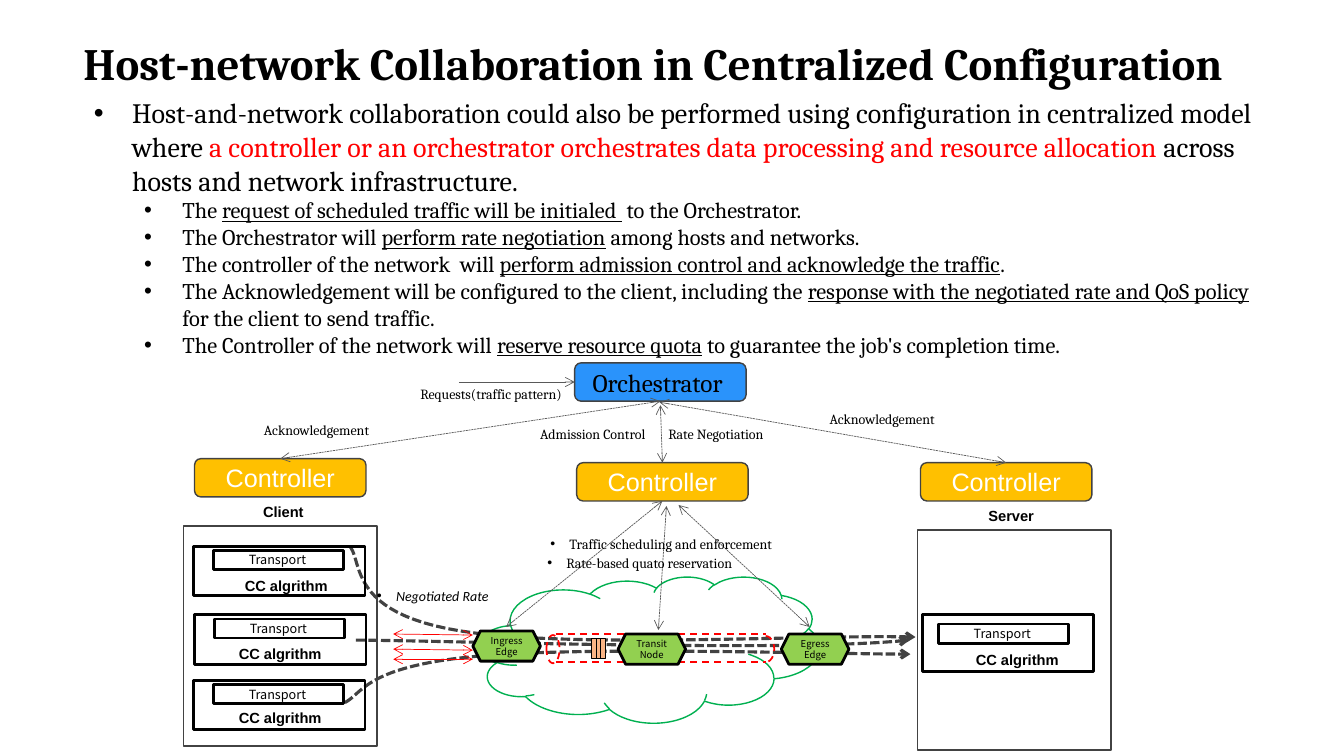
from lxml.etree import SubElement
from pptx import Presentation
from pptx.dml.color import RGBColor
from pptx.enum.dml import MSO_LINE_DASH_STYLE as Dash
from pptx.enum.shapes import MSO_CONNECTOR, MSO_SHAPE as Shape
from pptx.enum.text import MSO_ANCHOR as Anchor, MSO_AUTO_SIZE as AutoSize, PP_ALIGN as Align
from pptx.oxml.ns import qn
from pptx.util import Inches, Pt

# ---- Content: text parts are (text, mark), mark is "", "red" or "underline"
TITLE = " Host-network Collaboration in Centralized Configuration "
BODY = [
    (0, [("Host-and-network collaboration could also be performed using configuration "
          "in centralized model where ", ""),
         ("a controller or an orchestrator orchestrates data processing and resource allocation ", "red"),
         ("across hosts and network infrastructure.", "")]),
    (1, [("The ", ""), ("request of scheduled traffic will be initialed ", "underline"),
         (" to the Orchestrator.", "")]),
    (1, [("The Orchestrator will ", ""), ("perform rate negotiation", "underline"),
         (" among hosts and networks.", "")]),
    (1, [("The controller of the network  will ", ""),
         ("perform admission control and acknowledge the traffic", "underline"), (".", "")]),
    (1, [("The Acknowledgement will be configured to the client, including the ", ""),
         ("response with the negotiated rate and QoS policy ", "underline"),
         ("for the client to send traffic.", "")]),
    (1, [("The Controller of the network will ", ""), ("reserve resource quota", "underline"),
         (" to guarantee the job's completion time.", "")]),
]
# left, top, height, transport offset, label offset
HOSTS = [
    (1.92, 5.42, 0.49, (0.2, 0.04), (0.41, 0.25)),
    (1.93, 6.1, 0.49, (0.2, 0.04), (0.34, 0.25)),
    (1.92, 6.75, 0.49, (0.2, 0.04), (0.35, 0.23)),
    (9.15, 6.1, 0.56, (0.16, 0.09), (0.43, 0.31)),
]
SITES = [("Client", 1.82, 5.22, 1.99), ("Server", 9.1, 5.26, 9.21)]
CONTROLLERS = [(1.93, 4.55), (5.72, 4.59), (9.13, 4.59)]
NODES = [("Ingress\nEdge", 4.69, 6.26), ("Transit Node", 6.13, 6.29), ("Egress\nEdge", 7.75, 6.29)]
NOTES = [
    ("Requests(traffic pattern)", 4.07, 3.78, 1.79),
    ("Acknowledgement", 2.52, 4.13, 2.03),
    ("Rate Negotiation", 6.53, 4.17, 2.03),
    ("Admission Control", 5.26, 4.17, 2.03),
    ("Acknowledgement", 8.13, 4.02, 2.03),
]
BULLET_NOTES = [
    ("Traffic scheduling and enforcement", 5.36, 5.26, 3.67, "note"),
    ("Rate-based quato reservation", 5.33, 5.45, 2.53, "note"),
    ("Negotiated Rate", 3.64, 5.78, 2.53, "rate"),
]
# Traffic flows as chains of Bezier points
FLOWS = [
    [(3.42, 6.97), (3.6, 6.88), (3.62, 6.61), (4.74, 6.51), (5.86, 6.41), (8.2, 6.49), (9.03, 6.49)],
    [(3.47, 5.42), (3.6, 5.58), (3.45, 6.08), (4.57, 6.26), (5.69, 6.44), (8.16, 6.29), (9.08, 6.32)],
    [(3.53, 6.35), (4.63, 6.36), (7.92, 6.47), (9.02, 6.35)],
]
SIGNALS = [
    (6.57, 4.97, 5.02, 6.22), (6.61, 5.02, 6.53, 6.25), (6.73, 5.01, 8.03, 6.22),
    (6.55, 3.98, 2.78, 4.55), (6.54, 3.99, 9.98, 4.59), (6.55, 4.02, 6.57, 4.59),
]
RATES = [(6.29, 6.3), (6.44, 6.45), (6.54, 6.54)]

# ---- Theme: colours, line formats and type
THEME = {
    "color": {"black": "000000", "white": "FFFFFF", "red": "FF0000", "gray": "424242",
              "signal": "595959", "green": "00B050", "node": "92D050", "amber": "FFC000",
              "blue": "2A93FB", "queue": "F9B485"},
    "line": {"box": ("black", 2, None), "frame": ("gray", 1, None), "cloud": ("green", 1, None),
             "flow": ("gray", 2.25, Dash.SQUARE_DOT), "pipe": ("red", 1.25, Dash.DASH),
             "queue": ("black", 0.75, None), "signal": ("signal", 0.5, Dash.SQUARE_DOT),
             "request": ("signal", 0.5, None), "rate": ("red", 0.5, None)},
    "type": {"title": ({"name": "Cambria", "size": Pt(32), "bold": True}, "black"),
             "body0": ({"name": "Cambria", "size": Pt(20)}, "black"),
             "body1": ({"name": "Cambria", "size": Pt(16)}, "black"),
             "note": ({"name": "Cambria", "size": Pt(10)}, "black"),
             "rate": ({"name": "Calibri", "size": Pt(10), "italic": True}, "black"),
             "label": ({"name": "Arial", "size": Pt(10.5), "bold": True}, "black"),
             "transport": ({"name": "Noto Sans CJK SC", "size": Pt(9)}, "black"),
             "node": ({"name": "Noto Sans CJK SC", "size": Pt(6.8)}, "black"),
             "controller": ({"name": "Arial", "size": Pt(18)}, "white"),
             "orchestrator": ({"name": "Cambria", "size": Pt(18)}, "black")},
}


def color(name):
    return RGBColor.from_string(THEME["color"][name])


def add_run(paragraph, text, style, mark=""):
    run = paragraph.add_run()
    run.text = text
    values, ink = THEME["type"][style]
    for name, value in values.items():
        setattr(run.font, name, value)
    run.font.color.rgb = color("red" if mark == "red" else ink)
    if mark == "underline":
        run.font.underline = True


def set_bullet(paragraph, margin, hanging):
    properties = paragraph._p.get_or_add_pPr()
    properties.set("marL", str(Inches(margin)))
    properties.set("indent", str(-Inches(hanging)))
    SubElement(properties, qn("a:buFont")).set("typeface", "Arial")
    SubElement(properties, qn("a:buChar")).set("char", "•")


def write(shape, text, style, align=Align.LEFT, anchor=Anchor.TOP, insets=(0.1, 0.05)):
    frame = shape.text_frame
    side, end = map(Inches, insets)
    values = {"word_wrap": True, "vertical_anchor": anchor, "margin_left": side,
              "margin_right": side, "margin_top": end, "margin_bottom": end}
    for name, value in values.items():
        setattr(frame, name, value)
    for index, line in enumerate(text.split("\n")):
        paragraph = frame.add_paragraph() if index else frame.paragraphs[0]
        paragraph.alignment = align
        add_run(paragraph, line, style)
    return frame


def set_line(shape, style, head=False, tail=False):
    ink, width, dash = THEME["line"][style]
    shape.line.color.rgb = color(ink)
    shape.line.width = Pt(width)
    if dash:
        shape.line.dash_style = dash
    for tag, wanted in (("a:headEnd", head), ("a:tailEnd", tail)):
        if wanted:
            SubElement(shape.line._get_or_add_ln(), qn(tag)).set("type", "arrow")


def add_box(kind, left, top, width, height, line, fill=None):
    shape = slide.shapes.add_shape(kind, *map(Inches, (left, top, width, height)))
    shape.shadow.inherit = False
    if fill:
        shape.fill.solid()
        shape.fill.fore_color.rgb = color(fill)
    else:
        shape.fill.background()
    set_line(shape, line)
    return shape


def add_text(text, left, top, width, style, align=Align.LEFT):
    box = slide.shapes.add_textbox(*map(Inches, (left, top, width, 0.27)))
    return write(box, text, style, align)


def add_link(x1, y1, x2, y2, line, head=False, tail=False):
    link = slide.shapes.add_connector(MSO_CONNECTOR.STRAIGHT, *map(Inches, (x1, y1, x2, y2)))
    set_line(link, line, head, tail)
    SubElement(link._element.spPr, qn("a:effectLst"))


def add_flow(points, steps=24):
    route = []
    for start in range(0, len(points) - 1, 3):
        for step in range(1, steps + 1):
            t = step / steps
            weights = ((1 - t) ** 3, 3 * t * (1 - t) ** 2, 3 * t * t * (1 - t), t ** 3)
            segment = points[start:start + 4]
            route.append(tuple(Inches(sum(w * p[axis] for w, p in zip(weights, segment)))
                               for axis in (0, 1)))
    builder = slide.shapes.build_freeform(*map(Inches, points[0]))
    builder.add_line_segments(route, close=False)
    flow = builder.convert_to_shape()
    flow.shadow.inherit = False
    flow.fill.background()
    set_line(flow, "flow", tail=True)


def place(shape, left, top, width, height):
    for name, value in {"left": left, "top": top, "width": width, "height": height}.items():
        setattr(shape, name, Inches(value))


presentation = Presentation()
presentation.slide_width, presentation.slide_height = Inches(13.33), Inches(7.5)
slide = presentation.slides.add_slide(presentation.slide_layouts[1])

# Title and list
title, body = slide.placeholders
place(title, 0.5, 0.3, 11.96, 0.64)
write(title, TITLE, "title", Align.CENTER).word_wrap = False
title.text_frame.auto_size = AutoSize.NONE
place(body, 0.83, 0.9, 11.93, 2.73)
body.text_frame.auto_size = AutoSize.NONE
for index, (level, parts) in enumerate(BODY):
    paragraph = body.text_frame.add_paragraph() if index else body.text_frame.paragraphs[0]
    paragraph.level = level
    paragraph.space_before = Pt(0)
    set_bullet(paragraph, 0.38 + 0.5 * level, 0.38)
    for text, mark in parts:
        add_run(paragraph, text, f"body{level}", mark)

# Cloud and traffic flows
add_box(Shape.CLOUD, 4.76, 5.72, 3.37, 1.45, "cloud")
for points in FLOWS:
    add_flow(points)

# Client and server sites with their hosts
for name, left, top, label_left in SITES:
    add_box(Shape.RECTANGLE, left, top, 1.92, 2.18, "frame")
    add_text(name, label_left, top - 0.28, 1.64, "label", Align.CENTER)
for left, top, height, (dx, dy), (label_dx, label_dy) in HOSTS:
    add_box(Shape.RECTANGLE, left, top, 1.7, height, "box")
    transport = add_box(Shape.RECTANGLE, left + dx, top + dy, 1.29, 0.19, "box")
    write(transport, "Transport ", "transport", Align.CENTER, Anchor.MIDDLE, (0.07, 0.04))
    add_text("CC algrithm", left + label_dx, top + label_dy, 2.01, "label")

# Reserved pipe with its queue
for column in range(3):
    add_box(Shape.RECTANGLE, 5.87 + 0.045 * column, 6.33, 0.05, 0.2, "queue", "queue")
add_box(Shape.OVAL, 5.42, 6.3, 0.13, 0.28, "pipe")
for y in (6.29, 6.57):
    add_link(5.51, y, 7.6, y, "pipe")
pipe_end = add_box(Shape.ARC, 7.51, 6.31, 0.17, 0.26, "pipe")
pipe_end.adjustments[1] = 56.22

# Network nodes, controllers and orchestrator
for name, left, top in NODES:
    node = add_box(Shape.HEXAGON, left, top, 0.67, 0.3, "box", "node")
    write(node, name, "node", Align.CENTER, Anchor.MIDDLE, (0, 0))
for left, top in CONTROLLERS:
    controller = add_box(Shape.ROUNDED_RECTANGLE, left, top, 1.7, 0.38, "frame", "amber")
    write(controller, "Controller", "controller", Align.CENTER, Anchor.MIDDLE)
orchestrator = add_box(Shape.ROUNDED_RECTANGLE, 5.7, 3.6, 1.7, 0.38, "frame", "blue")
write(orchestrator, "Orchestrator ", "orchestrator", Align.CENTER, Anchor.MIDDLE)

# Arrows
for ends in SIGNALS:
    add_link(*ends, "signal", head=True, tail=True)
add_link(4.55, 3.79, 5.7, 3.79, "request", tail=True)
for start_y, end_y in RATES:
    add_link(3.9, start_y, 4.69, end_y, "rate", head=True, tail=True)

# Notes
for text, left, top, width in NOTES:
    add_text(text, left, top, width, "note")
for text, left, top, width, style in BULLET_NOTES:
    set_bullet(add_text(text, left, top, width, style).paragraphs[0], 0.19, 0.19)

presentation.save("out.pptx")
